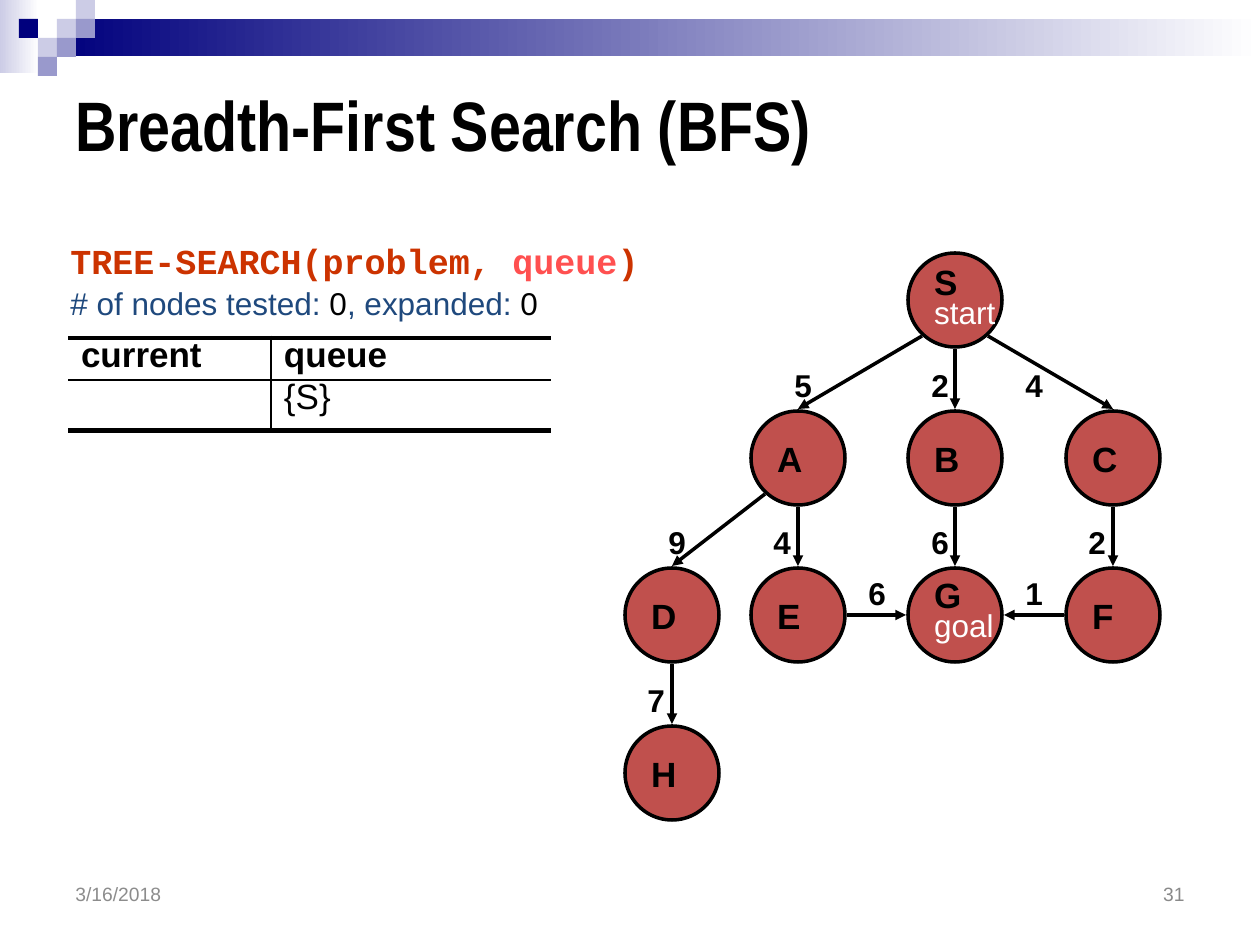
from lxml import etree
from pptx import Presentation
from pptx.dml.color import RGBColor
from pptx.enum.shapes import MSO_CONNECTOR, MSO_SHAPE
from pptx.enum.text import MSO_ANCHOR, MSO_AUTO_SIZE, PP_ALIGN
from pptx.oxml.ns import qn
from pptx.util import Pt

RECT, OVAL = MSO_SHAPE.RECTANGLE, MSO_SHAPE.OVAL
STRAIGHT = MSO_CONNECTOR.STRAIGHT
MIDDLE = MSO_ANCHOR.MIDDLE
GROW = MSO_AUTO_SIZE.SHAPE_TO_FIT_TEXT
LEFT, RIGHT = PP_ALIGN.LEFT, PP_ALIGN.RIGHT
PX = 914400 / 126
COLORS = {
    "black": "000000", "white": "FFFFFF", "navy": "00007D", "lilac": "CCCCE6",
    "violet": "9999CC", "node": "C0504D", "date": "8C8C8C", "number": "898989",
    "blue": "1F497D", "rust": "CC3300", "coral": "FF5050",
}
RGB = {name: RGBColor.from_string(value) for name, value in COLORS.items()}


def px(*values):
    return [round(v * PX) for v in values]


def write(tf, text, size=18, color="black", bold=False, font="Arial",
          align=LEFT, spacing=None, before=None, new=False):
    p = tf.add_paragraph() if new else tf.paragraphs[-1]
    p.alignment = align
    if spacing:
        p.line_spacing = spacing
    if before:
        p.space_before = Pt(before)
    r = p.add_run()
    r.text = text
    r.font.size = Pt(size)
    r.font.name = font
    r.font.bold = bold
    r.font.color.rgb = RGB[color]


prs = Presentation()
prs.slide_width, prs.slide_height = px(1260, 945)
s = prs.slides.add_slide(prs.slide_layouts[6])

for box, start in [((0, 0, 39, 73), "lilac"), ((57, 19, 1203, 37), "navy")]:
    sp = s.shapes.add_shape(RECT, *px(*box))
    sp.shadow.inherit = False
    sp.line.fill.background()
    sp.fill.gradient()
    sp.fill.gradient_angle = 0
    for stop, color, position in zip(sp.fill.gradient_stops, (start, "white"), (0, 1)):
        stop.color.rgb = RGB[color]
        stop.position = position

SQUARE = 19
for col, row, color in [(3, 1, "lilac"), (4, 0, "lilac"), (4, 1, "violet"),
                        (2, 2, "lilac"), (1, 1, "navy"), (3, 2, "violet"),
                        (2, 3, "violet")]:
    sp = s.shapes.add_shape(RECT, *px(col * SQUARE, row * SQUARE, SQUARE, SQUARE))
    sp.shadow.inherit = False
    sp.fill.solid()
    sp.fill.fore_color.rgb = RGB[color]
    sp.line.fill.background()

for box, text, style in [
    ((63, 57, 1134, 132), "Breadth-First Search (BFS)",
     dict(size=40, bold=True, font="Arial Narrow")),
    ((63, 872, 294, 44), "3/16/2018", dict(size=11, color="date")),
    ((903, 872, 294, 44), "31", dict(size=11, color="number", align=RIGHT)),
]:
    tf = s.shapes.add_textbox(*px(*box)).text_frame
    tf.word_wrap = True
    tf.vertical_anchor = MIDDLE
    write(tf, text, **style)

for box, runs, style in [
    ((58, 233, 599, 55),
     [("TREE-SEARCH(problem, ", "rust"), ("queue", "coral"), (")", "rust")],
     dict(size=20, bold=True, font="Courier New")),
    ((58, 278, 493, 50),
     [("# of nodes tested:", "blue"), (" 0", "black"),
      (", expanded:", "blue"), (" 0", "black")], {}),
]:
    tf = s.shapes.add_textbox(*px(*box)).text_frame
    tf.word_wrap = False
    tf.auto_size = GROW
    for text, color in runs:
        write(tf, text, color=color, **style)

table = s.shapes.add_table(2, 2, *px(68, 338, 483, 84)).table
table.first_row = table.horz_banding = False
for column, width in zip(table.columns, px(203, 280)):
    column.width = width
for row in table.rows:
    row.height = px(42)[0]
for i, texts in enumerate([("current", "queue"), ("", "{S}")]):
    for j, text in enumerate(texts):
        cell = table.cell(i, j)
        cell.fill.background()
        if text:
            cell.margin_left, cell.margin_top, cell.margin_right, cell.margin_bottom = px(13, 1, 3, 3)
            write(cell.text_frame, text, size=20, bold=i == 0, spacing=0.9, before=2)
        borders = [("a:lnL", j), ("a:lnR", 1 - j),
                   ("a:lnT", 1 if i else 3), ("a:lnB", 3 if i else 1)]
        tcPr = cell._tc.get_or_add_tcPr()
        for k, (tag, width) in enumerate(borders):
            ln = etree.Element(qn(tag), w=str(Pt(width)))
            if width:
                fill = etree.SubElement(ln, qn("a:solidFill"))
                etree.SubElement(fill, qn("a:srgbClr"), val=COLORS["black"])
            else:
                etree.SubElement(ln, qn("a:noFill"))
            tcPr.insert(k, ln)

COLS = [672, 798, 955, 1113]
ROWS = [300, 458, 615, 773]
SIZE = 94
REACH = 49
nodes = {name: (COLS[col], ROWS[row]) for name, col, row in [
    ("S", 2, 0), ("A", 1, 1), ("B", 2, 1), ("C", 3, 1),
    ("D", 0, 2), ("E", 1, 2), ("G", 2, 2), ("F", 3, 2), ("H", 0, 3)]}
captions = {"S": ("start", 0.75), "G": ("goal", 0.65)}
edges = [("S", "A", "5", 782), ("S", "B", "2", 919), ("S", "C", "4", 1013),
         ("A", "D", "9", 656), ("A", "E", "4", 761), ("B", "G", "6", 919),
         ("C", "F", "2", 1076), ("E", "G", "6", 856), ("F", "G", "1", 1013),
         ("D", "H", "7", 635)]

for parent, child, weight, label_x in edges:
    (x1, y1), (x2, y2) = nodes[parent], nodes[child]
    side = (x2 > x1) - (x2 < x1)
    label_y = y2 - 98
    if y1 == y2:
        label_y = y2 - 47
        x1, x2 = x1 + side * REACH, x2 - side * REACH
    else:
        x1, y1 = x1 + side * 33, y1 + (36 if side else REACH)
        y2 -= REACH
    line = s.shapes.add_connector(STRAIGHT, *px(x1, y1, x2, y2))
    line.line.color.rgb = RGB["black"]
    line.line.width = Pt(2)
    etree.SubElement(line.line._get_or_add_ln(), qn("a:tailEnd"), type="triangle")
    etree.SubElement(line._element.spPr, qn("a:effectLst"))
    tf = s.shapes.add_textbox(*px(label_x, label_y, 43, 50)).text_frame
    tf.word_wrap = False
    tf.auto_size = GROW
    write(tf, weight, bold=True)

for name, (x, y) in nodes.items():
    sp = s.shapes.add_shape(OVAL, *px(x - SIZE / 2, y - SIZE / 2, SIZE, SIZE))
    sp.shadow.inherit = False
    sp.fill.solid()
    sp.fill.fore_color.rgb = RGB["node"]
    sp.line.color.rgb = RGB["black"]
    sp.line.width = Pt(2)
    tf = sp.text_frame
    tf.word_wrap = False
    tf.vertical_anchor = MIDDLE
    caption, spacing = captions.get(name, (None, None))
    write(tf, name, size=20, bold=True, spacing=spacing)
    if caption:
        write(tf, caption, color="white", spacing=0.75, new=True)

prs.save("out.pptx")
